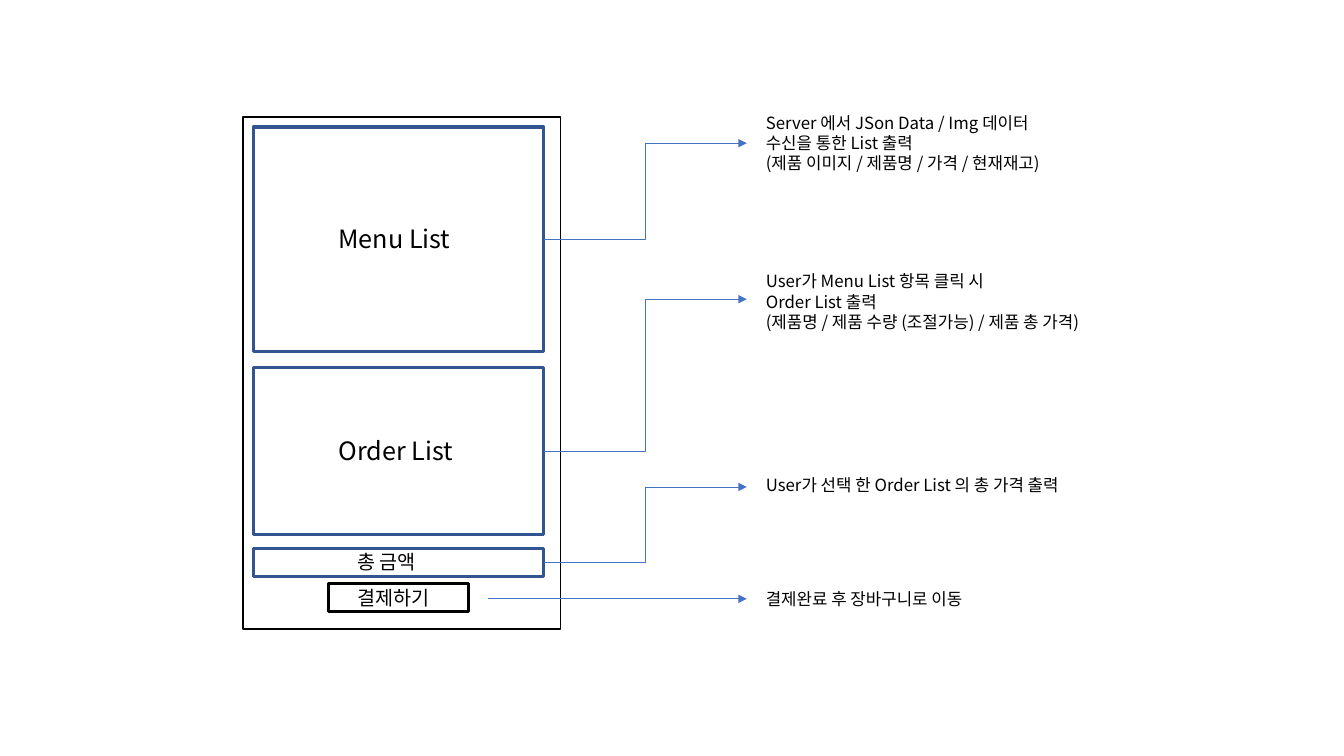
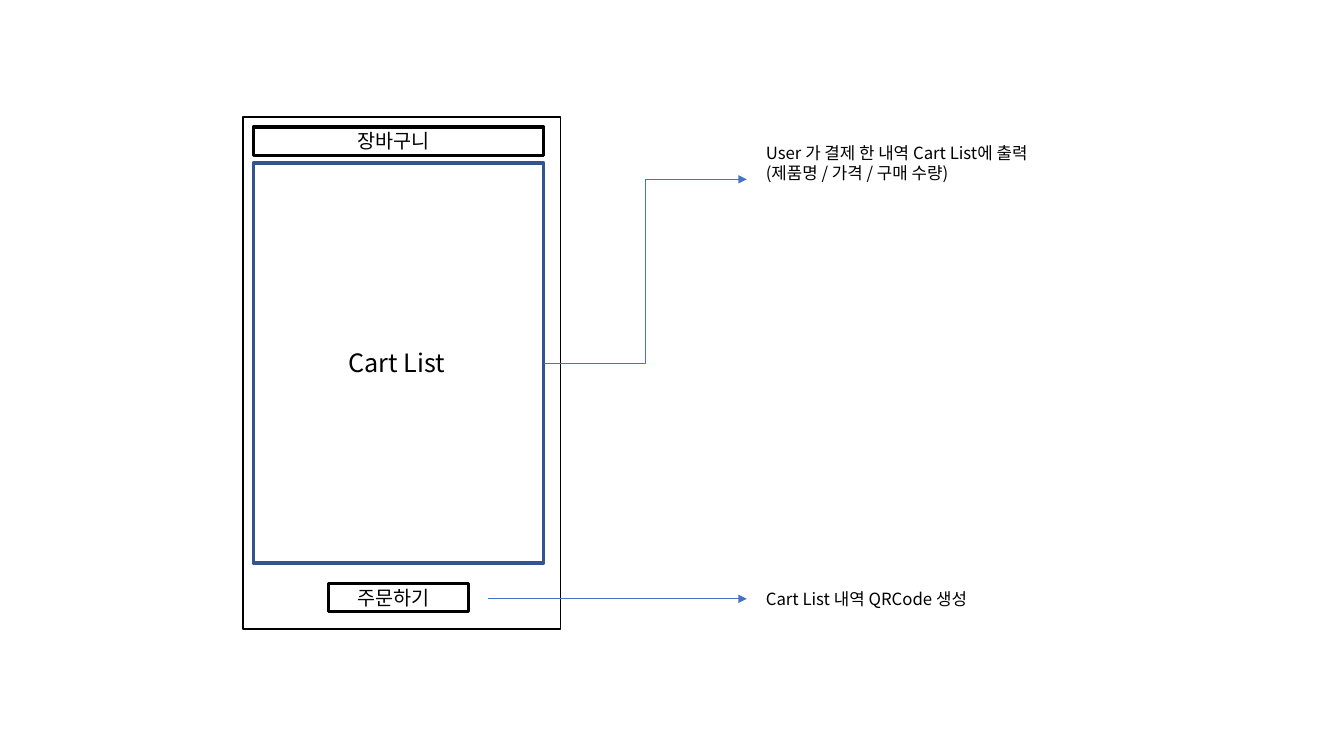
from lxml import etree
from pptx import Presentation
from pptx.dml.color import RGBColor
from pptx.enum.shapes import MSO_CONNECTOR, MSO_SHAPE
from pptx.enum.text import MSO_AUTO_SIZE
from pptx.oxml.ns import qn
from pptx.util import Cm, Pt

RECTANGLE = MSO_SHAPE.RECTANGLE
ELBOW, STRAIGHT = MSO_CONNECTOR.ELBOW, MSO_CONNECTOR.STRAIGHT
FIT_SHAPE = MSO_AUTO_SIZE.SHAPE_TO_FIT_TEXT

# Shared style and layout, lengths in centimetres
FONT = "Noto Sans CJK KR"
BLACK = RGBColor(0x00, 0x00, 0x00)
NAVY = RGBColor(0x32, 0x54, 0x91)
BLUE = RGBColor(0x44, 0x72, 0xC4)
SCREEN = (6.12, 2.95, 8.0, 12.9)
PANEL_LEFT, PANEL_WIDTH = 6.38, 7.32
PANEL_RIGHT = PANEL_LEFT + PANEL_WIDTH
BUTTON_LEFT, BUTTON_WIDTH = 8.28, 3.53
BAR_HEIGHT = 0.71
BUTTON_TOP = 14.71
BUTTON_ARROW_LEFT, BUTTON_ARROW_Y = 12.29, 15.09
ARROW_RIGHT = 18.82
NOTE_LEFT, NOTE_WIDTH = 19.05, 11.23
NOTE_HEIGHT, NOTE_LINE = 0.76, 0.51
LABEL_HEIGHT = {18: 1.03, 14: 0.86}

# Panels: label, label left, text size, colour, top, height
# Panel notes: panel index, arrow end, note top, text
SLIDES = [
    {
        "panels": [
            ("Menu List", 8.28, 18, NAVY, 3.2, 5.66),
            ("Order List", 8.28, 18, NAVY, 9.27, 4.19),
            ("총 금액", 8.76, 14, NAVY, 13.82, BAR_HEIGHT),
        ],
        "notes": [
            (0, 3.61, 2.72, "Server 에서 JSon Data / Img 데이터\n"
                            "수신을 통한 List 출력\n"
                            "(제품 이미지 / 제품명 / 가격 / 현재재고)"),
            (1, 7.54, 6.71, "User가 Menu List 항목 클릭 시\n"
                            "Order List 출력\n"
                            "(제품명 / 제품 수량 (조절가능) / 제품 총 가격)"),
            (2, 12.27, 11.84, "User가 선택 한 Order List 의 총 가격 출력"),
        ],
        "button": "결제하기",
        "button_note": "결제완료 후 장바구니로 이동",
    },
    {
        "panels": [
            ("장바구니", 8.76, 14, BLACK, 3.2, BAR_HEIGHT),
            ("Cart List", 8.53, 18, NAVY, 4.11, 10.08),
        ],
        "notes": [
            (1, 4.52, 3.48, "User 가 결제 한 내역 Cart List에 출력\n"
                            "(제품명 / 가격 / 구매 수량)"),
        ],
        "button": "주문하기",
        "button_note": "Cart List 내역 QRCode 생성",
    },
]


def add_text(slide, text, left, top, width, height, size):
    box = slide.shapes.add_textbox(Cm(left), Cm(top), Cm(width), Cm(height))
    text_frame = box.text_frame
    text_frame.word_wrap = True
    text_frame.auto_size = FIT_SHAPE
    text_frame.text = text
    for paragraph in text_frame.paragraphs:
        for run in paragraph.runs:
            run.font.size = Pt(size)
            run.font.name = FONT
            run.font.color.rgb = BLACK
            # Korean glyphs take the East Asian typeface
            east_asian = etree.SubElement(run.font._element, qn("a:ea"))
            east_asian.set("typeface", FONT)


def add_arrow(slide, kind, left, start_y, end_y):
    arrow = slide.shapes.add_connector(
        kind, Cm(left), Cm(start_y), Cm(ARROW_RIGHT), Cm(end_y))
    arrow.line.color.rgb = BLUE
    arrow.line.width = Pt(0.5)
    properties = arrow._element.spPr
    etree.SubElement(properties.find(qn("a:ln")), qn("a:tailEnd")).set("type", "triangle")
    etree.SubElement(properties, qn("a:effectLst"))


presentation = Presentation()
presentation.slide_width = Cm(33.87)
presentation.slide_height = Cm(19.05)
blank_layout = presentation.slide_layouts[6]

for content in SLIDES:
    slide = presentation.slides.add_slide(blank_layout)

    # Screen frame, panels and button
    outlines = [(*SCREEN, BLACK, 1)]
    labels = []
    for label, label_left, size, colour, top, height in content["panels"]:
        outlines.append((PANEL_LEFT, top, PANEL_WIDTH, height, colour, 2.25))
        labels.append((label, label_left, size, top + height / 2))
    outlines.append((BUTTON_LEFT, BUTTON_TOP, BUTTON_WIDTH, BAR_HEIGHT, BLACK, 2.25))
    labels.append((content["button"], 8.76, 14, BUTTON_TOP + BAR_HEIGHT / 2))

    for left, top, width, height, colour, line_width in outlines:
        outline = slide.shapes.add_shape(
            RECTANGLE, Cm(left), Cm(top), Cm(width), Cm(height))
        outline.shadow.inherit = False
        outline.fill.background()
        outline.line.color.rgb = colour
        outline.line.width = Pt(line_width)

    # Labels, centred on the height of their boxes
    for label, left, size, middle in labels:
        height = LABEL_HEIGHT[size]
        add_text(slide, label, left, middle - height / 2, BUTTON_WIDTH, height, size)

    # Arrows and notes
    notes = [(BUTTON_TOP, content["button_note"])]
    add_arrow(slide, STRAIGHT, BUTTON_ARROW_LEFT, BUTTON_ARROW_Y, BUTTON_ARROW_Y)
    for panel, arrow_end, note_top, note in content["notes"]:
        add_arrow(slide, ELBOW, PANEL_RIGHT, labels[panel][3], arrow_end)
        notes.append((note_top, note))
    for top, note in notes:
        height = NOTE_HEIGHT + NOTE_LINE * note.count("\n")
        add_text(slide, note, NOTE_LEFT, top, NOTE_WIDTH, height, 12)

presentation.save("out.pptx")
